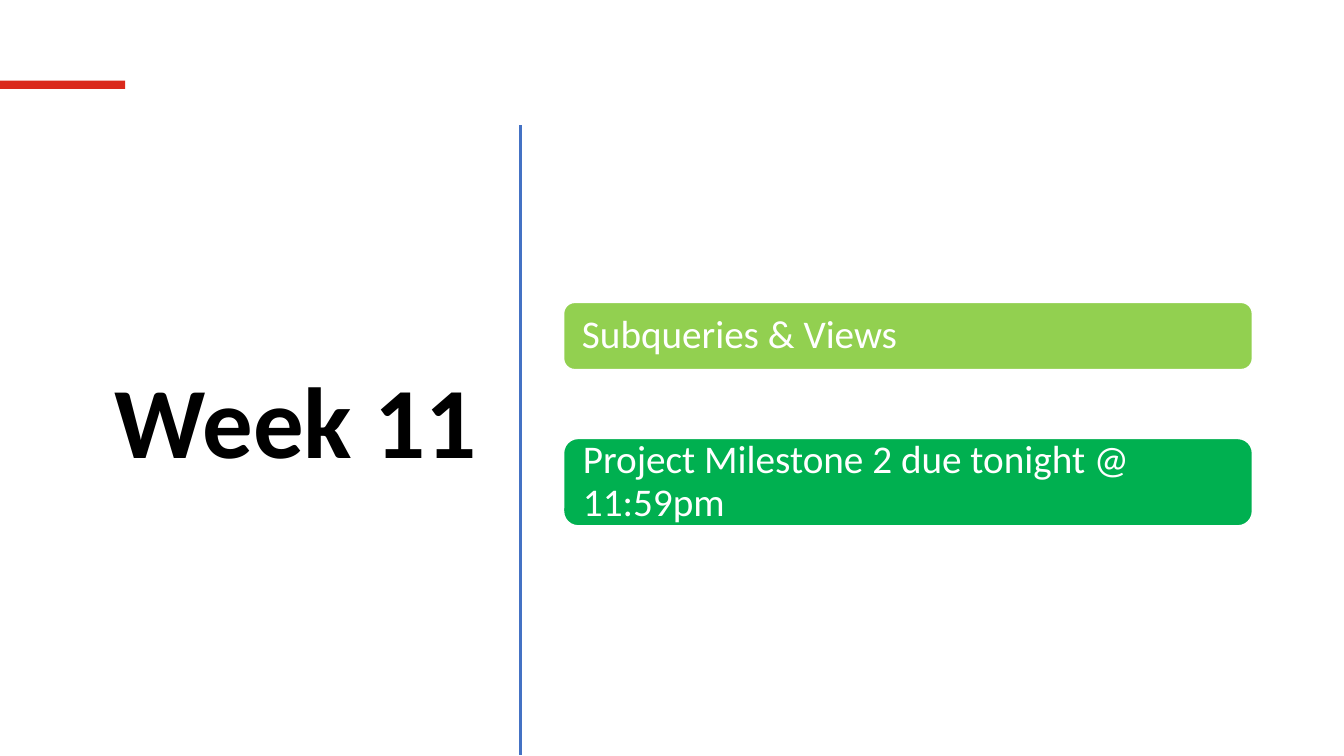
import dataclasses
import typing

import pptx
import pptx.dml.color
import pptx.enum.shapes
import pptx.enum.text
import pptx.oxml
import pptx.oxml.ns
import pptx.util

SHAPE = pptx.enum.shapes.MSO_SHAPE
ALIGN = pptx.enum.text.PP_ALIGN
COLS, ROWS = 160, 90


@dataclasses.dataclass(frozen=True)
class Theme:
    font: str = "Calibri"
    ink: str = "000000"
    white: str = "FFFFFF"
    rule: str = "4472C4"
    red: str = "DA291C"
    lime: str = "92D050"
    green: str = "00B050"
    head: int = 72
    body: int = 28
    edge: int = 1
    stroke: int = 2


class Area(typing.NamedTuple):
    col: float
    row: float
    wide: float
    high: float


@dataclasses.dataclass(frozen=True)
class Topic:
    text: str
    fill: str
    row: float
    high: float


THEME = Theme()
TOPICS = [
    Topic("Subqueries & Views", THEME.lime, 36, 8),
    Topic("Project Milestone 2 due tonight @ 11:59pm", THEME.green, 52.2, 10.4),
]

deck = pptx.Presentation()
deck.slide_width = pptx.util.Inches(13.33)
deck.slide_height = pptx.util.Inches(7.5)
slide = deck.slides.add_slide(deck.slide_layouts[6])


def across(cols: float) -> int:
    return round(deck.slide_width * cols / COLS)


def down(rows: float) -> int:
    return round(deck.slide_height * rows / ROWS)


def place(area: Area) -> tuple[int, int, int, int]:
    return across(area.col), down(area.row), across(area.wide), down(area.high)


def tint(code: str) -> pptx.dml.color.RGBColor:
    return pptx.dml.color.RGBColor.from_string(code)


def write(shape, text: str, *, size: int, color: str, bold: bool = False,
          align=ALIGN.LEFT, inset: float = 0.1) -> None:
    frame = shape.text_frame
    frame.word_wrap = True
    frame.vertical_anchor = pptx.enum.text.MSO_ANCHOR.MIDDLE
    frame.margin_left = frame.margin_right = pptx.util.Inches(inset)
    frame.margin_top = frame.margin_bottom = 0
    para = frame.paragraphs[0]
    para.alignment = align
    para.line_spacing = 0.9
    run = para.add_run()
    run.text = text
    run.font.name = THEME.font
    run.font.size = pptx.util.Pt(size)
    run.font.bold = bold
    run.font.color.rgb = tint(color)


def draw(kind, area: Area, fill: str, edge: str | None = None):
    shape = slide.shapes.add_shape(kind, *place(area))
    shape.shadow.inherit = False
    shape.fill.solid()
    shape.fill.fore_color.rgb = tint(fill)
    if edge is None:
        shape.line.fill.background()
    else:
        shape.line.color.rgb = tint(edge)
        shape.line.width = pptx.util.Pt(THEME.edge)
    return shape


def divide(col: float, top: float, end: float) -> None:
    line = slide.shapes.add_connector(
        pptx.enum.shapes.MSO_CONNECTOR.STRAIGHT,
        across(col), down(top), across(col), down(end))
    line.line.color.rgb = tint(THEME.rule)
    line.line.width = pptx.util.Pt(THEME.stroke)
    props = line._element.spPr
    props.append(pptx.oxml.parse_xml(
        f"<a:effectLst {pptx.oxml.ns.nsdecls('a')}/>"))


def show(topic: Topic) -> None:
    bar = draw(SHAPE.ROUNDED_RECTANGLE,
               Area(67.1, topic.row, 82, topic.high), topic.fill, THEME.white)
    write(bar, topic.text, size=THEME.body, color=THEME.white, inset=0.15)


def main() -> None:
    title = slide.shapes.add_textbox(*place(Area(6.2, 14, 51.8, 73.4)))
    write(title, "Week 11", size=THEME.head, color=THEME.ink,
          bold=True, align=ALIGN.RIGHT)
    divide(62, 14.9, 89.9)
    for topic in TOPICS:
        show(topic)
    draw(SHAPE.RECTANGLE, Area(0, 9.6, 14.9, 1), THEME.red)
    deck.save("out.pptx")


if __name__ == "__main__":
    main()
